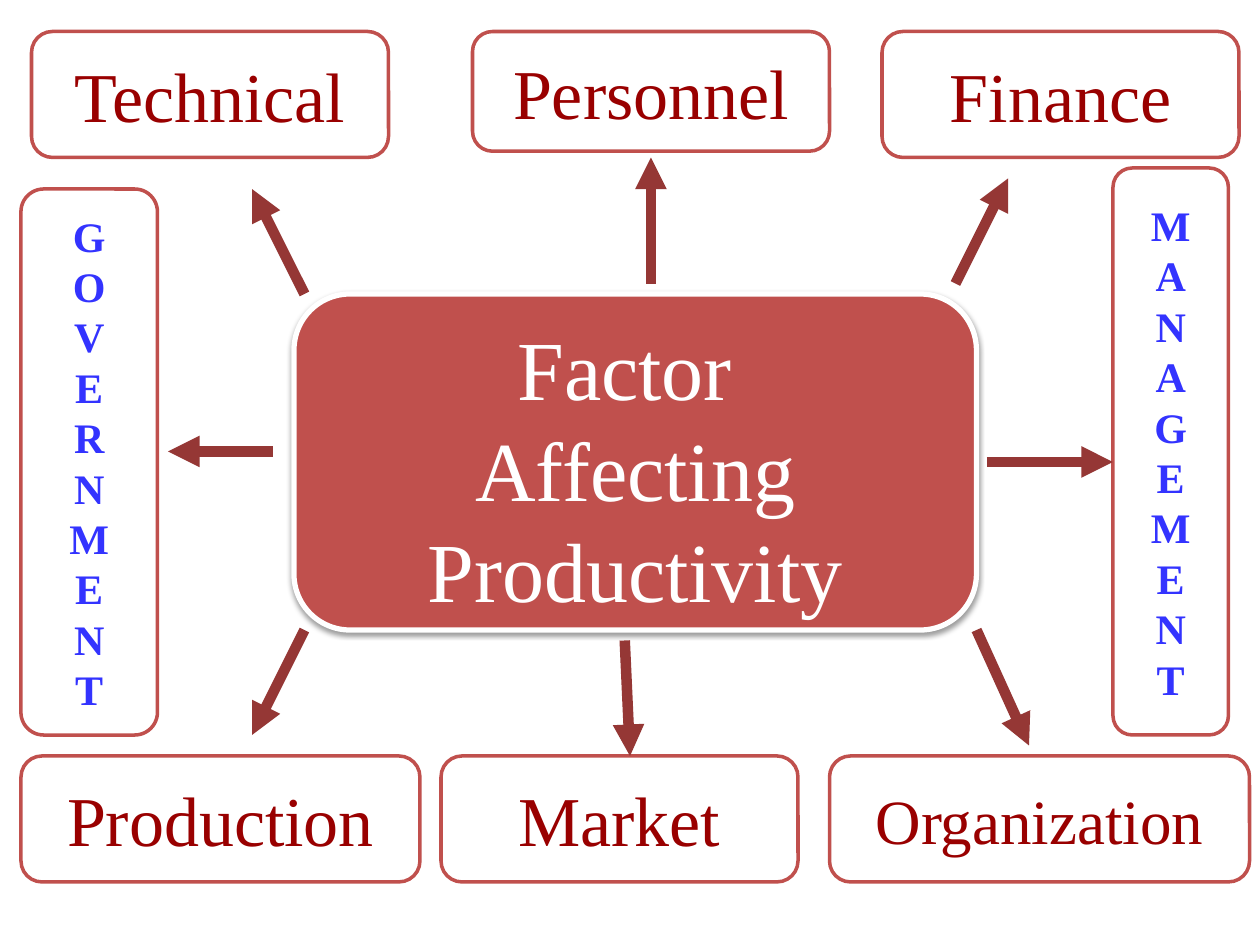
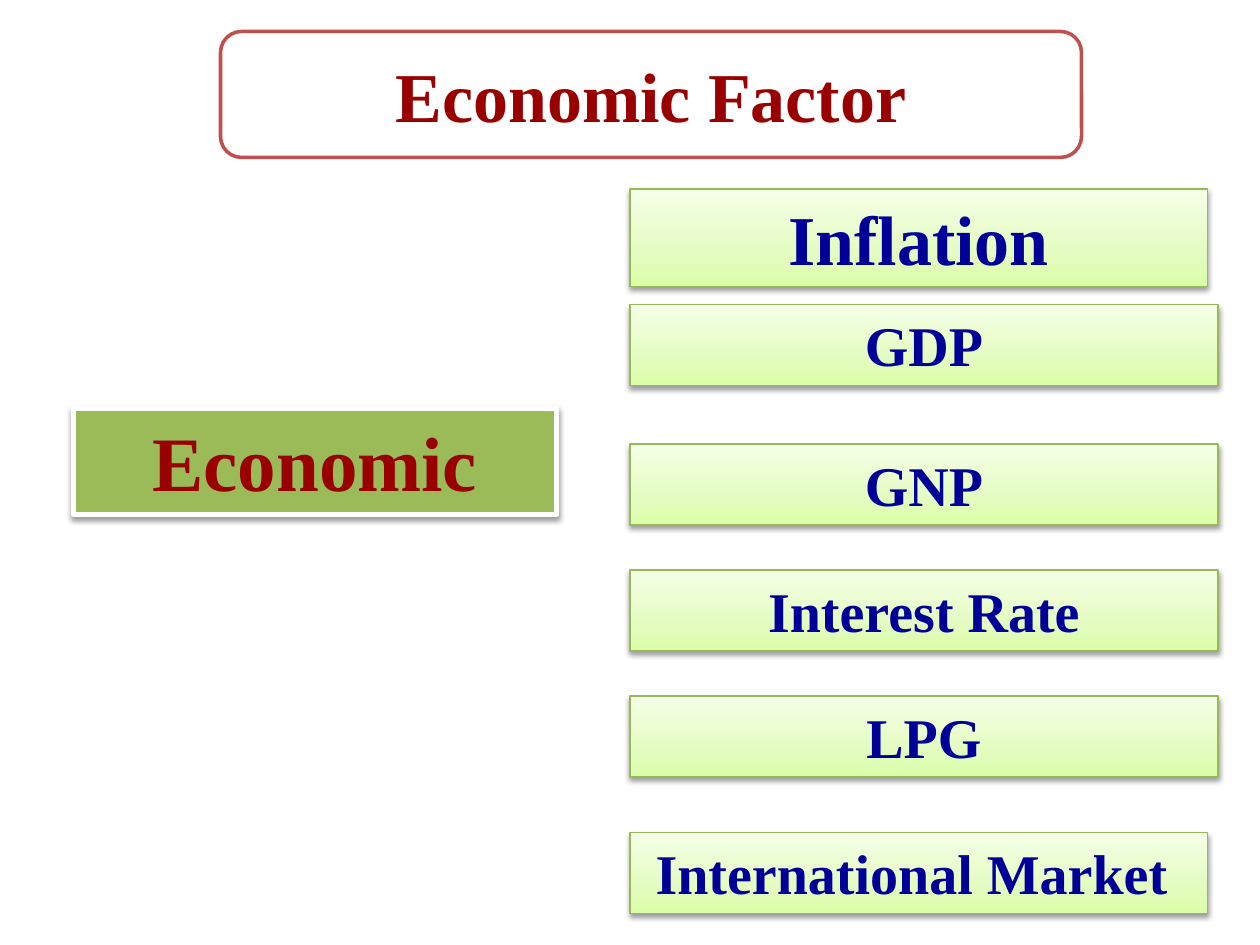
from lxml.etree import SubElement
from pptx import Presentation
from pptx.dml.color import RGBColor
from pptx.enum.shapes import MSO_CONNECTOR, MSO_SHAPE
from pptx.enum.text import MSO_ANCHOR, MSO_AUTO_SIZE, PP_ALIGN
from pptx.oxml import parse_xml
from pptx.oxml.ns import nsdecls, qn
from pptx.util import Inches, Pt

FONT = "Times New Roman"
WHITE = RGBColor(0xFF, 0xFF, 0xFF)
RED = RGBColor(0xC0, 0x50, 0x4D)
DARK_RED = RGBColor(0x99, 0x00, 0x00)
ARROW_RED = RGBColor(0x95, 0x37, 0x35)
BLUE = RGBColor(0x33, 0x33, 0xFF)
NAVY = RGBColor(0x00, 0x00, 0x99)
GREEN = RGBColor(0x9B, 0xBB, 0x59)
GREEN_EDGE = RGBColor(0x98, 0xB9, 0x55)
PALE_GREENS = [
    (0, RGBColor(0xDA, 0xFD, 0xA7)),
    (35, RGBColor(0xE4, 0xFC, 0xC2)),
    (100, RGBColor(0xF5, 0xFF, 0xE7)),
]

deck = Presentation()
deck.slide_width = Inches(10)
deck.slide_height = Inches(7.5)
blank = deck.slide_layouts[6]

# The grid has 120 columns and 90 rows of square cells
CELL = deck.slide_width / 120


def add_box(page, place, lines, size, color, bold=False, kind=MSO_SHAPE.ROUNDED_RECTANGLE,
            fill=WHITE, edge=RED, edge_width=2, raised=False, fitted=False):
    """Add a box of centred text; place is left, top, width, height in cells."""
    box = page.shapes.add_shape(kind, *(round(cells * CELL) for cells in place))
    if fill is PALE_GREENS:
        box.fill.gradient()
        box.fill.gradient_angle = 90
        stops = box._element.spPr.find(".//" + qn("a:gsLst"))
        for old_stop in list(stops):
            stops.remove(old_stop)
        for percent, shade in PALE_GREENS:
            stop = SubElement(stops, qn("a:gs"), pos=str(percent * 1000))
            SubElement(stop, qn("a:srgbClr"), val=str(shade))
    else:
        box.fill.solid()
        box.fill.fore_color.rgb = fill
    box.line.color.rgb = edge
    box.line.width = Pt(edge_width)
    box.shadow.inherit = False
    if raised:
        box._element.spPr.find(qn("a:effectLst")).append(parse_xml(
            f'<a:outerShdw {nsdecls("a")} blurRad="40000" dist="20000" dir="5400000" '
            'rotWithShape="0"><a:srgbClr val="000000"><a:alpha val="38000"/></a:srgbClr>'
            '</a:outerShdw>'))

    frame = box.text_frame
    frame.word_wrap = True
    frame.vertical_anchor = MSO_ANCHOR.TOP if raised else MSO_ANCHOR.MIDDLE
    if fitted:
        frame.auto_size = MSO_AUTO_SIZE.SHAPE_TO_FIT_TEXT
    frame.text = "\n".join(lines)
    for para in frame.paragraphs:
        para.alignment = PP_ALIGN.CENTER
        para.font.name = FONT
        para.font.size = Pt(size)
        para.font.bold = bold
        para.font.color.rgb = color


# Slide 1: factors around the central topic
page = deck.slides.add_slide(blank)

factors = [
    ("Technical", (3, 3, 34, 12), 40),
    ("Personnel", (45, 3, 34, 11.4), 40),
    ("Finance", (84, 3, 34, 12), 40),
    ("Production", (2, 72, 38, 12), 40),
    ("Market", (42, 72, 34, 12), 40),
    ("Organization", (79, 72, 40, 12), 36),
]
for factor, place, size in factors:
    add_box(page, place, [factor], size, DARK_RED)

# Side boxes read downwards, one letter a line
for word, place in [("GOVERNMENT", (2, 18, 13, 52)), ("MANAGEMENT", (106, 16, 11, 54))]:
    add_box(page, place, word, 24, BLUE, bold=True)

add_box(page, (28, 28, 65, 32), ["Factor ", "Affecting", "Productivity"], 48, WHITE,
        fill=RED, edge=WHITE, edge_width=3, raised=True)

# Arrows from the topic outwards: start column and row, end column and row
arrows = [
    (91, 27, 96, 17),
    (62, 27, 62, 15),
    (29, 28, 24, 18),
    (93, 60, 98, 71),
    (59.5, 61, 60, 72),
    (29, 60, 24, 70),
    (94, 44, 106, 44),
    (26, 43, 16, 43),
]
for ends in arrows:
    arrow = page.shapes.add_connector(
        MSO_CONNECTOR.STRAIGHT, *(round(cells * CELL) for cells in ends))
    arrow.line.color.rgb = ARROW_RED
    arrow.line.width = Pt(6)
    SubElement(arrow.line._get_or_add_ln(), qn("a:tailEnd"), type="triangle")
    SubElement(arrow._element.spPr, qn("a:effectLst"))

# Slide 2: economic factors
page = deck.slides.add_slide(blank)
add_box(page, (21, 3, 82, 12), ["Economic Factor"], 40, DARK_RED, bold=True)
add_box(page, (7, 38.9, 46, 10.1), ["Economic"], 44, DARK_RED, bold=True,
        kind=MSO_SHAPE.RECTANGLE, fill=GREEN, edge=WHITE, edge_width=3,
        raised=True, fitted=True)

# Name, top row, width, height, text size
indicators = [
    ("Inflation", 18, 55, 9.3, 40),
    ("GDP", 29, 56, 7.7, 32),
    ("GNP", 42.3, 56, 7.7, 32),
    ("Interest Rate", 54.3, 56, 7.7, 32),
    ("LPG", 66.3, 56, 7.7, 32),
    ("International Market ", 79.3, 55, 7.7, 32),
]
for indicator, top, width, height, size in indicators:
    add_box(page, (60, top, width, height), [indicator], size, NAVY, bold=True,
            kind=MSO_SHAPE.RECTANGLE, fill=PALE_GREENS, edge=GREEN_EDGE, edge_width=0.75,
            raised=True, fitted=True)

deck.save("out.pptx")
